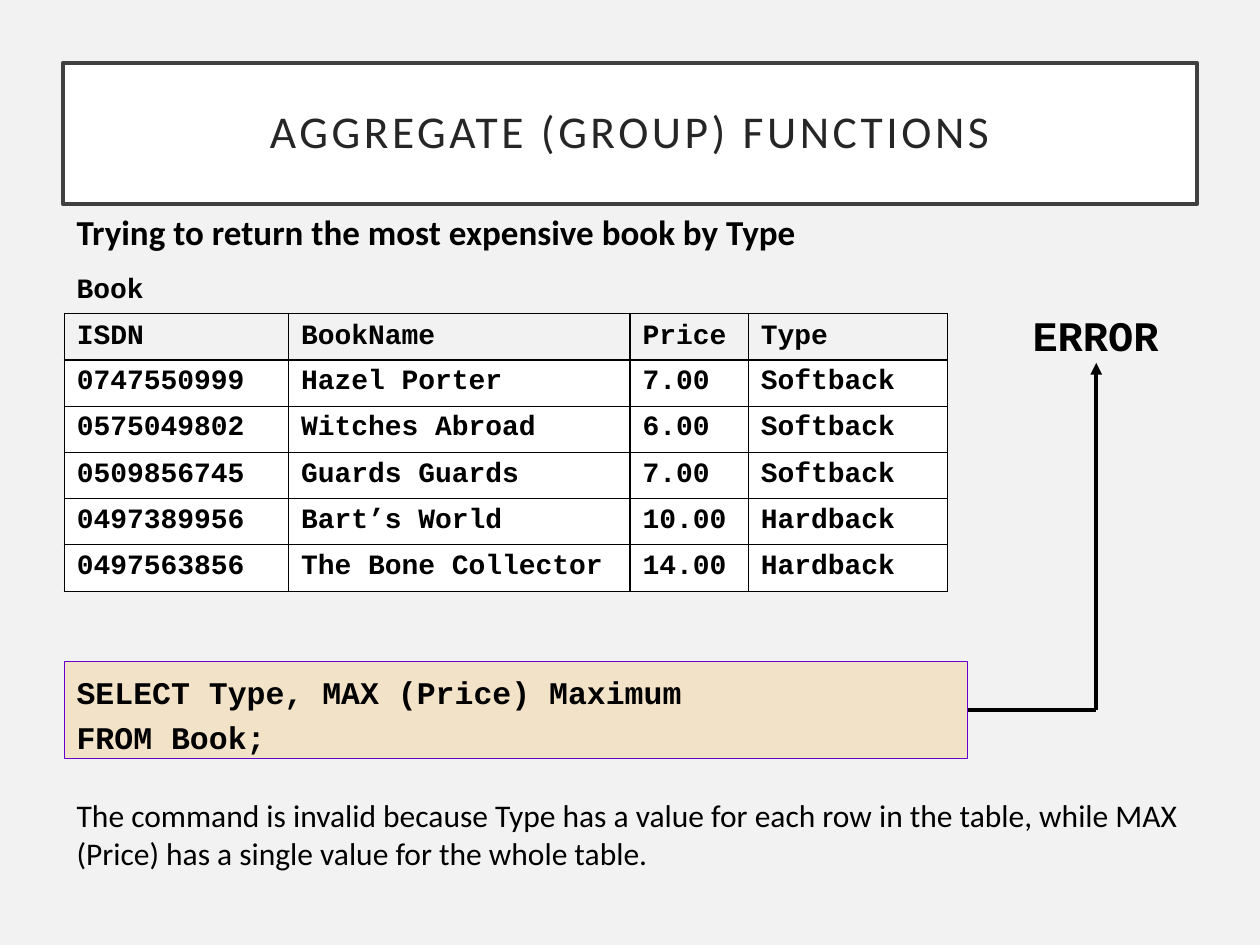
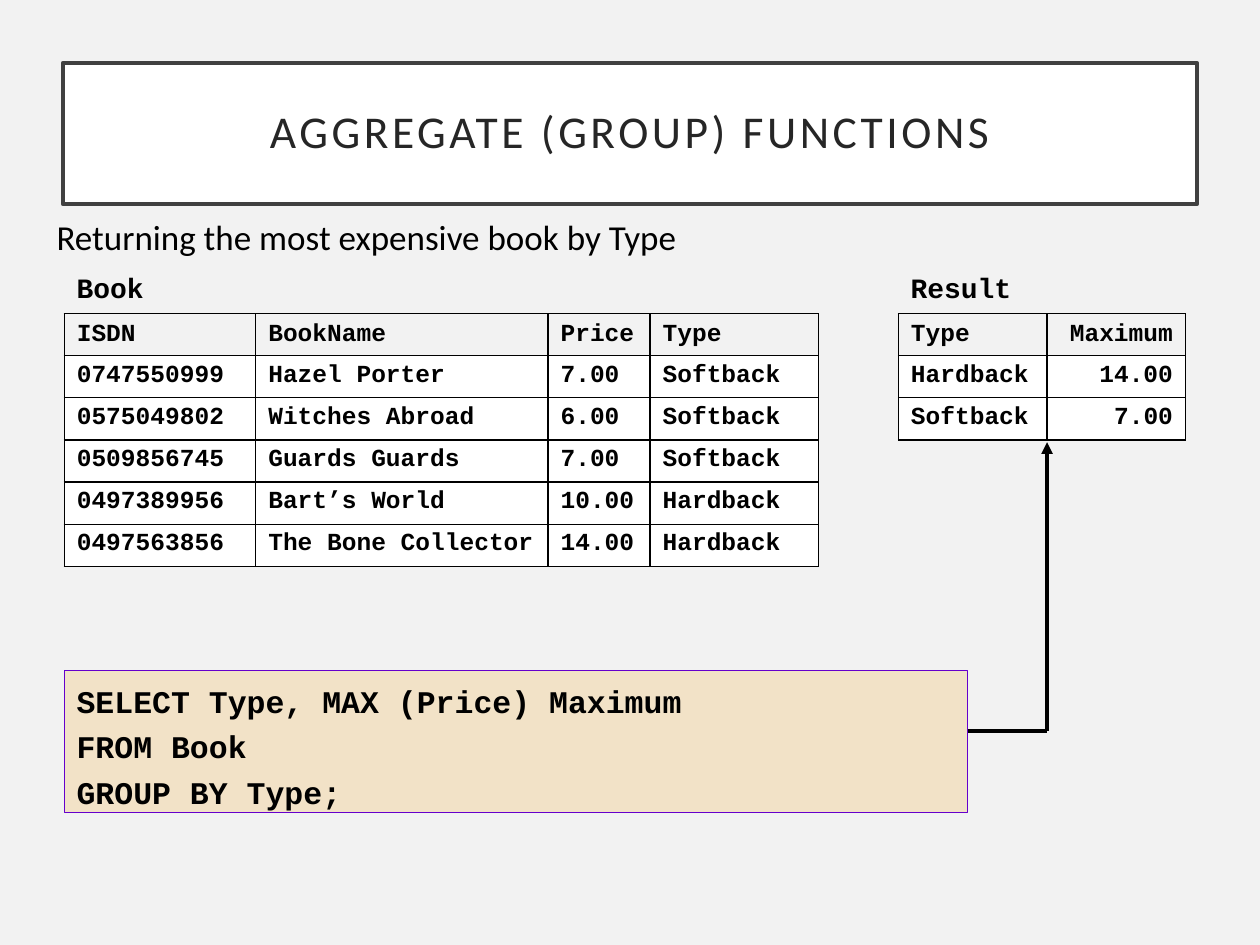
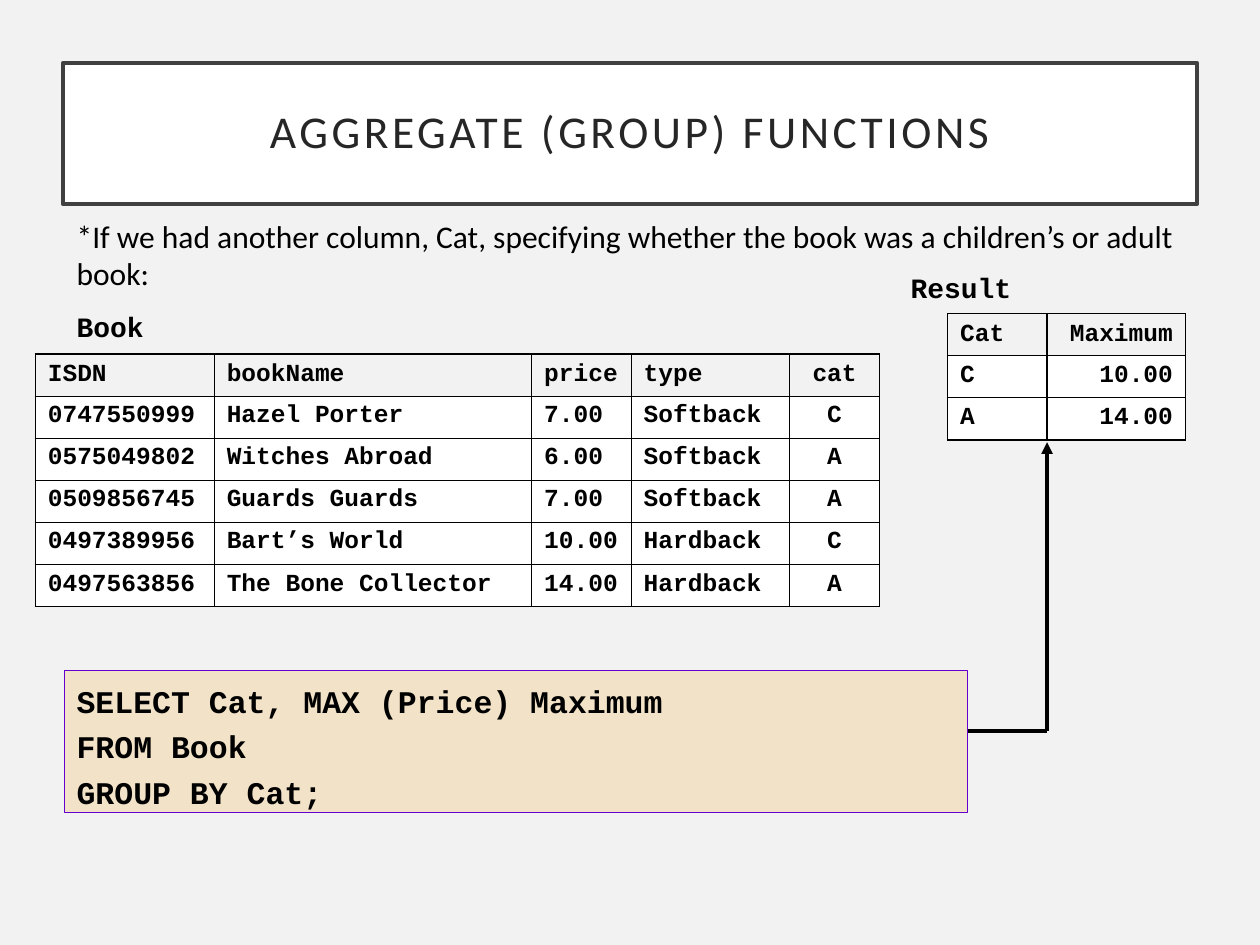
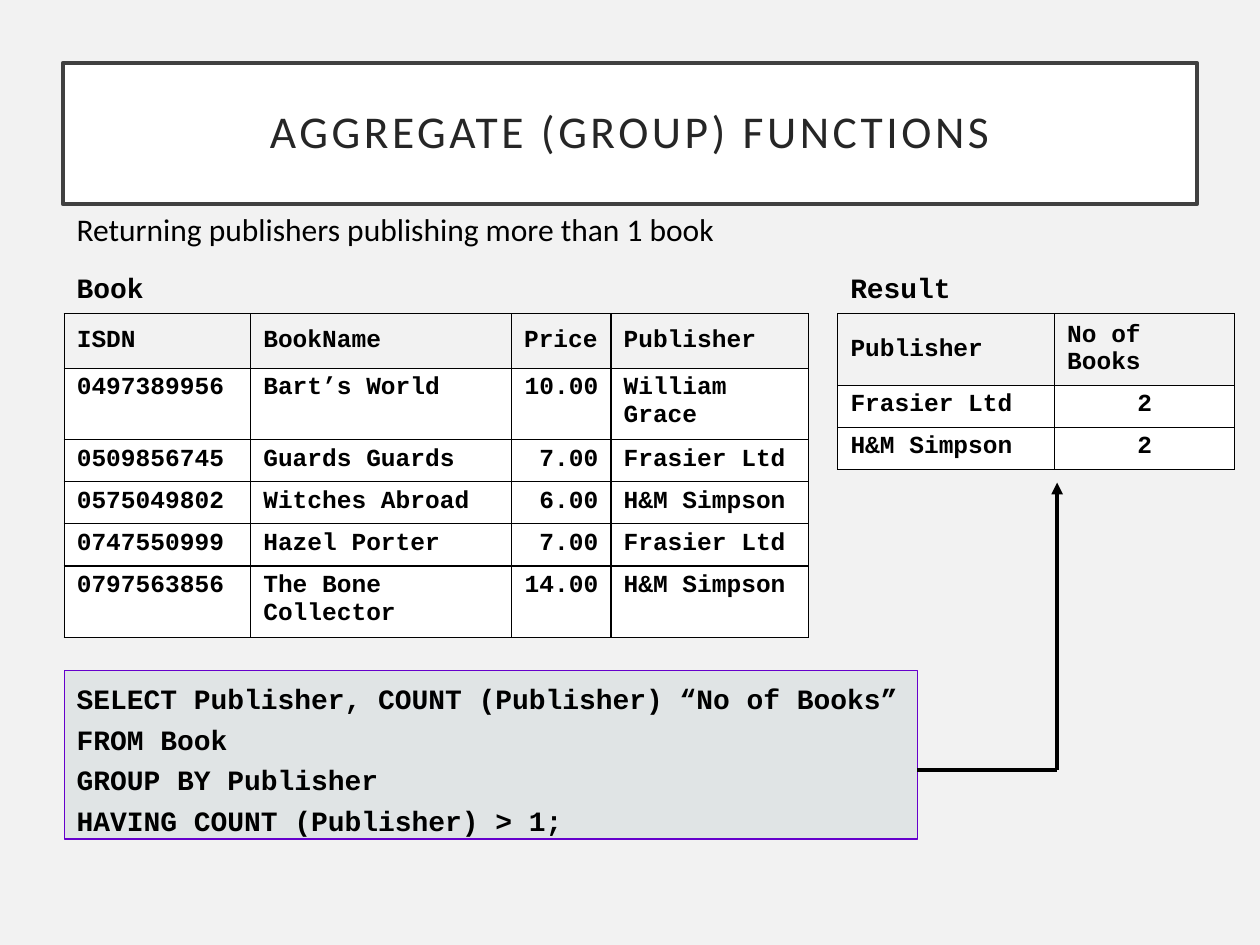
from lxml.etree import SubElement
from pptx import Presentation
from pptx.dml.color import RGBColor
from pptx.enum.shapes import MSO_CONNECTOR, MSO_SHAPE
from pptx.enum.text import MSO_ANCHOR, PP_ALIGN
from pptx.oxml.ns import qn
from pptx.util import Inches, Pt

WIDTH, HEIGHT = Inches(10), Inches(7.5)
BLACK = RGBColor(0x00, 0x00, 0x00)
WHITE = RGBColor(0xFF, 0xFF, 0xFF)
PAPER = RGBColor(0xF2, 0xF2, 0xF2)
FRAME = RGBColor(0x40, 0x40, 0x40)
TITLE = RGBColor(0x26, 0x26, 0x26)
PURPLE = RGBColor(0x66, 0x00, 0xCC)
ORANGE = RGBColor(0xF6, 0xA2, 0x1D)
SLATE = RGBColor(0x9B, 0xAF, 0xB5)
SANS, MONO = "Calibri", "Courier New"
ALIGN = {"l": PP_ALIGN.LEFT, "c": PP_ALIGN.CENTER, "r": PP_ALIGN.RIGHT}

LEFT = 5.1
LABEL_TOP = 21
TABLE_TOP = 24.9
QUERY_TOP = 53.2

BOOK_HEAD = ["ISDN", "BookName", "Price", "Type"]
BOOKS = [
    ["0747550999", "Hazel Porter", "7.00", "Softback"],
    ["0575049802", "Witches Abroad", "6.00", "Softback"],
    ["0509856745", "Guards Guards", "7.00", "Softback"],
    ["0497389956", "Bart’s World", "10.00", "Hardback"],
    ["0497563856", "The Bone Collector", "14.00", "Hardback"],
]
PUBLISHED = [
    ["0497389956", "Bart’s World", "10.00", "William Grace"],
    ["0509856745", "Guards Guards", "7.00", "Frasier Ltd"],
    ["0575049802", "Witches Abroad", "6.00", "H&M Simpson"],
    ["0747550999", "Hazel Porter", "7.00", "Frasier Ltd"],
    ["0797563856", "The Bone Collector", "14.00", "H&M Simpson"],
]


def share(n):
    return int(WIDTH * n / 100)


def add_run(p, text, size, font=SANS, bold=False, color=BLACK):
    r = p.add_run()
    r.text = text
    r.font.size, r.font.name, r.font.bold = Pt(size), font, bold
    r.font.color.rgb = color
    return r


def add_box(s, at, fill, line, line_width):
    sp = s.shapes.add_shape(MSO_SHAPE.RECTANGLE, *map(share, at))
    sp.shadow.inherit = False
    sp.fill.solid()
    sp.fill.fore_color.rgb = fill
    sp.line.color.rgb = line
    sp.line.width = Pt(line_width)
    sp.text_frame.word_wrap = True
    return sp


def add_slide(prs):
    s = prs.slides.add_slide(prs.slide_layouts[6])
    s.background.fill.solid()
    s.background.fill.fore_color.rgb = PAPER
    tf = add_box(s, (5, 5, 90, 11.2), WHITE, FRAME, 2.5).text_frame
    tf.margin_left = tf.margin_right = tf.margin_top = tf.margin_bottom = share(2)
    tf.vertical_anchor = MSO_ANCHOR.MIDDLE
    p = tf.paragraphs[0]
    p.alignment, p.line_spacing = PP_ALIGN.CENTER, 0.9
    r = add_run(p, "AGGREGATE (GROUP) FUNCTIONS", 26, color=TITLE)
    r.font._element.set("spc", "200")
    return s


def add_text(s, at, text, size, font=SANS, bold=False, align="l"):
    tf = s.shapes.add_textbox(*map(share, at)).text_frame
    tf.word_wrap = True
    p = tf.paragraphs[0]
    p.alignment = ALIGN[align]
    add_run(p, text, size, font, bold)


def add_label(s, text, left=LEFT, top=LABEL_TOP):
    add_text(s, (left, top, 20, 3.7), text, 16, MONO, True)


def add_query(s, at, lines, size=18, fill=ORANGE):
    sp = add_box(s, at, fill, PURPLE, 0.75)
    color = sp.fill._xPr.find(qn("a:solidFill"))[0]
    SubElement(color, qn("a:alpha"), val="20000")
    tf = sp.text_frame
    tf.vertical_anchor = MSO_ANCHOR.TOP
    tf.margin_top = share(0.9)
    for i, line in enumerate(lines):
        p = tf.add_paragraph() if i else tf.paragraphs[0]
        p.alignment = PP_ALIGN.LEFT
        if i:
            p.space_before = Pt(size / 4)
        add_run(p, line, size, MONO, True)
    return sp


def add_line(s, start, end, arrow=False):
    ln = s.shapes.add_connector(MSO_CONNECTOR.STRAIGHT, *map(share, start + end))
    ln.line.color.rgb = BLACK
    ln.line.width = Pt(2.25)
    if arrow:
        SubElement(ln.line._get_or_add_ln(), qn("a:tailEnd"), type="triangle")
    SubElement(ln._element.spPr, qn("a:effectLst"))
    return ln


def add_elbow(s, query, at, x, y, tip, joined=False):
    ln = add_line(s, (at[0] + at[2], y), (x, y))
    if joined:
        ln.begin_connect(query, 3)
    add_line(s, (x, y), (x, tip), arrow=True)


def add_borders(cell):
    tc_pr = cell._tc.get_or_add_tcPr()
    for side in ("lnL", "lnR", "lnT", "lnB"):
        ln = SubElement(tc_pr, qn(f"a:{side}"), w=str(Pt(0.75)))
        SubElement(SubElement(ln, qn("a:solidFill")), qn("a:srgbClr"), val=str(BLACK))


def add_grid(s, left, top, widths, heights, rows, aligns, head_aligns=None, size=14):
    frame = s.shapes.add_table(len(rows), len(widths), share(left), share(top),
                               share(sum(widths)), share(sum(heights)))
    table = frame.table
    table.first_row = table.horz_banding = False
    for column, width in zip(table.columns, widths):
        column.width = share(width)
    for i, (row, height) in enumerate(zip(rows, heights)):
        table.rows[i].height = share(height)
        row_aligns = aligns if i else head_aligns or aligns
        for j, (text, align) in enumerate(zip(row, row_aligns)):
            cell = table.cell(i, j)
            add_borders(cell)
            if i:
                cell.fill.solid()
                cell.fill.fore_color.rgb = WHITE
            else:
                cell.fill.background()
                cell.vertical_anchor = MSO_ANCHOR.MIDDLE
            p = cell.text_frame.paragraphs[0]
            p.alignment = ALIGN[align]
            add_run(p, text, size, MONO, True)


def invalid_query(prs):
    s = add_slide(prs)
    add_text(s, (LEFT, 16.2, 76.4, 4.4),
             "Trying to return the most expensive book by Type", 20, bold=True)
    at = (LEFT, 52.5, 71.7, 7.7)
    query = add_query(s, at, ["SELECT Type, MAX (Price) Maximum", "FROM Book;"])
    add_elbow(s, query, at, 87, 56.35, 28.8, joined=True)
    add_label(s, "Book")
    add_grid(s, LEFT, TABLE_TOP, [17.8, 27.1, 9.4, 15.8], [3.67] * 6,
             [BOOK_HEAD] + BOOKS, "llll", size=16)
    add_text(s, (79.1, 24.1, 15.7, 5), "ERROR", 24, MONO, True, "c")
    add_text(s, (LEFT, 62.7, 92.9, 7),
             "The command is invalid because Type has a value for each row in the table, "
             "while MAX (Price) has a single value for the whole table.", 18)


def group_query(s, column):
    at = (LEFT, QUERY_TOP, 71.7, 11.3)
    query = add_query(s, at, [f"SELECT {column}, MAX (Price) Maximum",
                              "FROM Book", f"GROUP BY {column};"])
    add_elbow(s, query, at, 83.1, 58, 35.1)
    add_label(s, "Result", 71.3)


def group_by_type(prs):
    s = add_slide(prs)
    add_text(s, (3.5, 16.6, 57.5, 4.4), "Returning the most expensive book by Type", 20)
    group_query(s, "Type")
    add_label(s, "Book")
    add_grid(s, LEFT, TABLE_TOP, [15.2, 23.2, 8.1, 13.4], [3.33] * 6,
             [BOOK_HEAD] + BOOKS, "llll")
    add_grid(s, 71.3, TABLE_TOP, [11.8, 11], [3.3] * 3,
             [["Type", "Maximum"], ["Hardback", "14.00"], ["Softback", "7.00"]], "lr")


def group_by_cat(prs):
    s = add_slide(prs)
    add_text(s, (LEFT, 16.7, 89.8, 7),
             "*If we had another column, Cat, specifying whether the book was "
             "a children’s or adult book:", 18)
    group_query(s, "Cat")
    add_label(s, "Book", top=24.1)
    rows = [["ISDN", "bookName", "price", "type", "cat"]]
    rows += [book + [cat] for book, cat in zip(BOOKS, "CAACA")]
    add_grid(s, 2.8, 28.1, [14.2, 25.2, 7.9, 12.6, 7.1], [3.33] * 6, rows, "llllc")
    add_grid(s, 75.2, TABLE_TOP, [7.9, 11], [3.33] * 3,
             [["Cat", "Maximum"], ["C", "10.00"], ["A", "14.00"]], "lr")


def having_count(prs):
    s = add_slide(prs)
    add_text(s, (LEFT, 16.2, 59.8, 4),
             "Returning publishers publishing more than 1 book", 18)
    at = (LEFT, QUERY_TOP, 67.7, 13.4)
    query = add_query(s, at, ["SELECT Publisher, COUNT (Publisher) “No of Books”",
                              "FROM Book", "GROUP BY Publisher",
                              "HAVING COUNT (Publisher) > 1;"], 16, SLATE)
    add_elbow(s, query, at, 83.9, 61.1, 38.3)
    add_label(s, "Book")
    add_label(s, "Result", 66.5)
    add_grid(s, LEFT, TABLE_TOP, [14.8, 20.7, 7.9, 15.7],
             [4.33, 5.66, 3.33, 3.33, 3.33, 5.66],
             [BOOK_HEAD[:3] + ["Publisher"]] + PUBLISHED, "llrl", "llll")
    add_grid(s, 66.5, TABLE_TOP, [17.2, 14.3], [5.4, 3.3, 3.3],
             [["Publisher", "No of Books"], ["Frasier Ltd", "2"], ["H&M Simpson", "2"]],
             "lc", "ll")


def main():
    prs = Presentation()
    prs.slide_width, prs.slide_height = WIDTH, HEIGHT
    for build in (invalid_query, group_by_type, group_by_cat, having_count):
        build(prs)
    prs.save("out.pptx")


if __name__ == "__main__":
    main()
